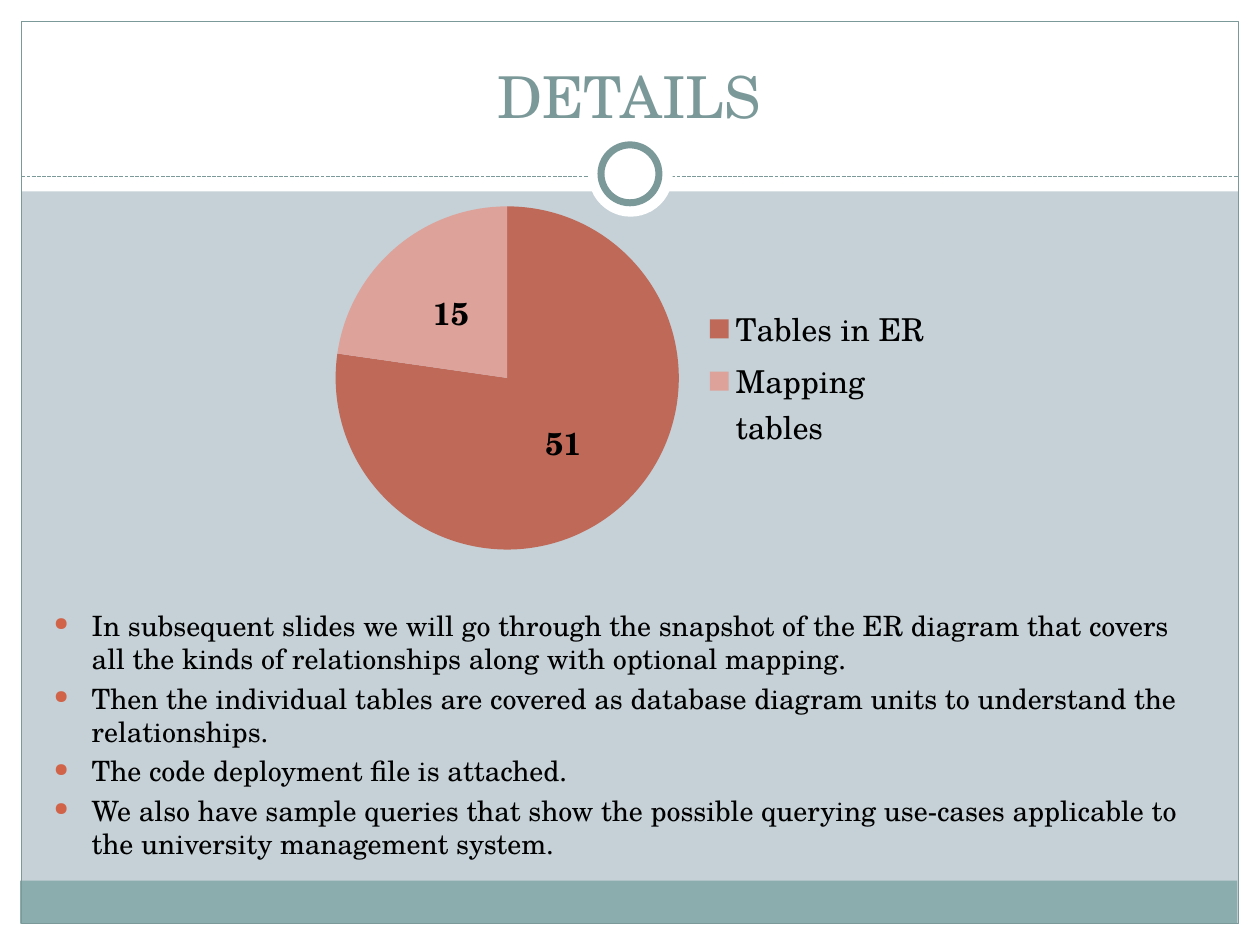
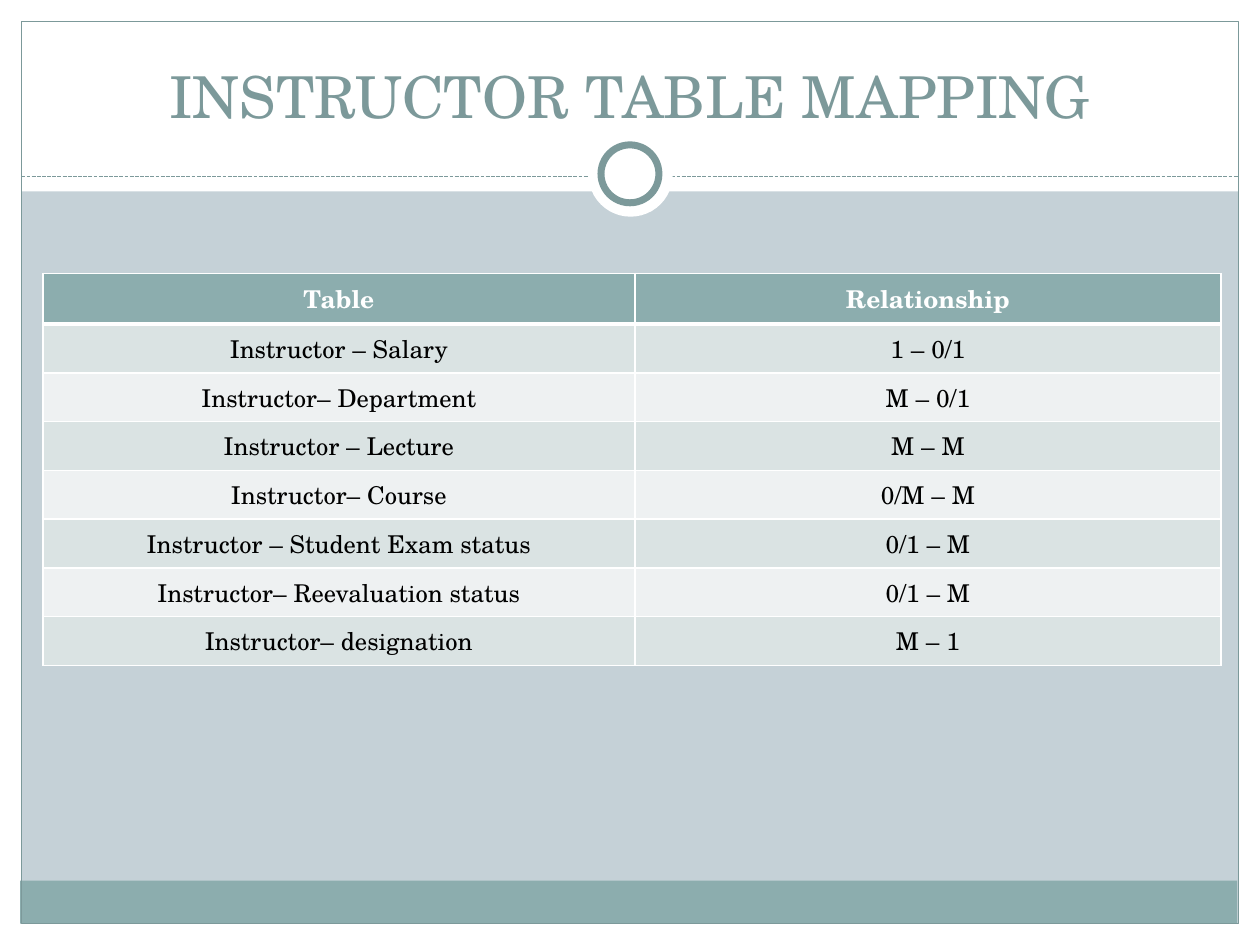
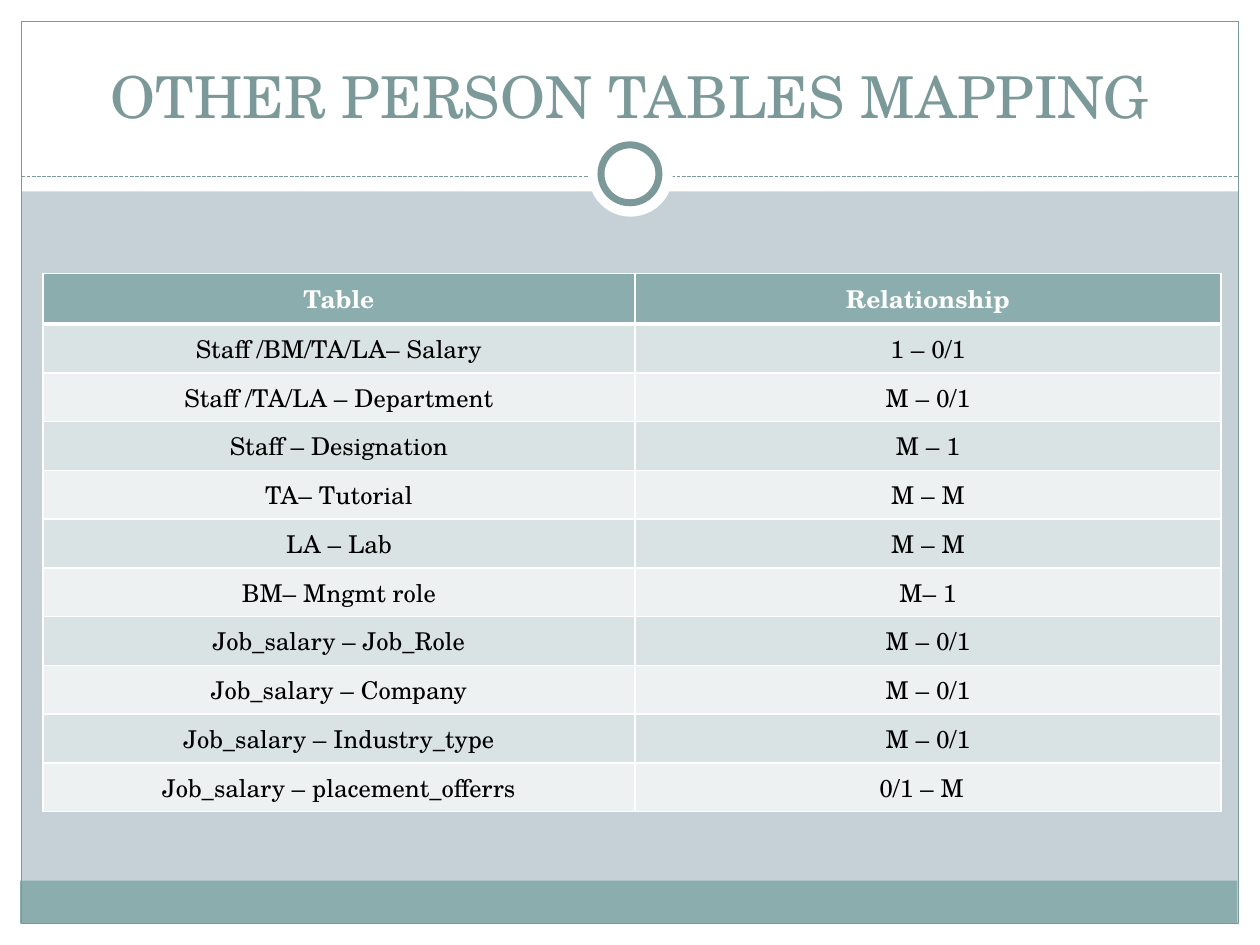
from lxml import etree
from pptx import Presentation
from pptx.chart.data import CategoryChartData
from pptx.dml.color import RGBColor
from pptx.enum.chart import XL_CHART_TYPE, XL_LABEL_POSITION, XL_LEGEND_POSITION
from pptx.enum.dml import MSO_LINE
from pptx.enum.shapes import MSO_CONNECTOR, MSO_SHAPE
from pptx.enum.text import MSO_ANCHOR, PP_ALIGN
from pptx.oxml import parse_xml
from pptx.oxml.ns import nsdecls, qn
from pptx.util import Inches, Pt

FONT = "TeX Gyre Schola"
HUES = {
    "back": "C5D1D7", "white": "FFFFFF", "black": "000000",
    "teal": "8CADAE", "dark": "7C999A", "odd": "DAE3E3", "even": "EEF1F2",
    "dot": "D16349", "brick": "BF6959", "rose": "DDA29A",
}


def hue(name):
    return RGBColor.from_string(HUES[name])


def style(font, size, tone, bold=False):
    font.name = FONT
    font.size = Pt(size)
    font.bold = bold
    font.color.rgb = hue(tone)


deck = Presentation()
deck.slide_width, deck.slide_height = Inches(10), Inches(7.5)

# Slides with their titles
layout = deck.slide_layouts[5]
titles = ["DETAILS", "INSTRUCTOR TABLE MAPPING", "OTHER PERSON TABLES MAPPING"]
slides = []
for text in titles:
    slide = deck.slides.add_slide(layout)
    slides.append(slide)
    title = slide.shapes.title
    title.left, title.top = Inches(0.33), Inches(0.25)
    title.width, title.height = Inches(9.33), Inches(0.83)
    frame = title.text_frame
    frame.vertical_anchor = MSO_ANCHOR.BOTTOM
    par = frame.paragraphs[0]
    par.alignment = PP_ALIGN.CENTER
    run = par.add_run()
    run.text = text
    style(run.font, 33, "dark")
first = slides[0]

# Shared frame: drawn once, then moved to the layout
for holder in list(layout.placeholders)[1:]:
    layout.shapes.element.remove(holder.element)
layout.background.fill.solid()
layout.background.fill.fore_color.rgb = hue("back")

RECT, OVAL = MSO_SHAPE.RECTANGLE, MSO_SHAPE.OVAL
parts = [  # kind, left, top, width, height, fill, line width
    (RECT, 0, 7.33, 10, 0.17, "white", 0),
    (RECT, 0, 0, 10, 1.52, "white", 0),
    (RECT, 0, 0, 0.17, 7.5, "white", 0),
    (RECT, 9.83, 0, 0.17, 7.5, "white", 0),
    (RECT, 0.16, 6.99, 9.66, 0.34, "teal", 0),
    (RECT, 0.17, 0.17, 9.66, 7.16, None, 0.75),
    (None, 0.17, 1.4, 9.66, 0, None, 0.75),
    (OVAL, 4.67, 1.05, 0.67, 0.67, "white", 0),
    (OVAL, 4.77, 1.15, 0.46, 0.46, "white", 4),
]
for kind, left, top, width, height, fill, line in parts:
    if kind is None:
        shape = first.shapes.add_connector(
            MSO_CONNECTOR.STRAIGHT, Inches(left), Inches(top),
            Inches(left + width), Inches(top + height))
        shape.line.dash_style = MSO_LINE.SQUARE_DOT
        etree.SubElement(shape.element.spPr, qn("a:effectLst"))
    else:
        shape = first.shapes.add_shape(
            kind, Inches(left), Inches(top), Inches(width), Inches(height))
        shape.shadow.inherit = False
        if fill:
            shape.fill.solid()
            shape.fill.fore_color.rgb = hue(fill)
        else:
            shape.fill.background()
    if line:
        shape.line.color.rgb = hue("dark")
        shape.line.width = Pt(line)
    else:
        shape.line.fill.background()
    layout.shapes.element.append(shape.element)

# Slide 1: bullets
notes = [
    "In subsequent slides we will go through the snapshot of the ER diagram "
    "that covers all the kinds of relationships along with optional mapping.",
    "Then the individual tables are covered as database diagram units to "
    "understand the relationships.",
    "The code deployment file is attached.",
    "We also have sample queries that show the possible querying use-cases "
    "applicable to the university management system.",
]
box = first.shapes.add_textbox(Inches(0.33), Inches(4.78), Inches(9.3), Inches(2.1))
frame = box.text_frame
frame.word_wrap = True
for i, note in enumerate(notes):
    par = frame.add_paragraph() if i else frame.paragraphs[0]
    par.space_before = Pt(3.2)
    props = par._p.get_or_add_pPr()
    props.set("marL", str(Inches(0.3)))
    props.set("indent", str(-Inches(0.3)))
    tone = etree.SubElement(props, qn("a:buClr"))
    etree.SubElement(tone, qn("a:srgbClr"), val=HUES["dot"])
    etree.SubElement(props, qn("a:buSzPct"), val="67000")
    etree.SubElement(props, qn("a:buChar"), char="●")
    run = par.add_run()
    run.text = note
    style(run.font, 16, "black")

# Slide 1: pie
data = CategoryChartData()
data.categories = ["Tables in ER", "Mapping tables"]
data.add_series("Series 1", [51, 15])
chart = first.shapes.add_chart(
    XL_CHART_TYPE.PIE, Inches(2.5), Inches(1.5), Inches(5), Inches(3), data).chart
style(chart.font, 18, "black")
chart.has_title = False
chart.has_legend = True
chart.legend.position = XL_LEGEND_POSITION.RIGHT
chart.legend.include_in_layout = False
pie = chart.plots[0]
pie.vary_by_categories = True
for i, tone in enumerate(["brick", "rose"]):
    slice_fill = pie.series[0].points[i].format.fill
    slice_fill.solid()
    slice_fill.fore_color.rgb = hue(tone)
pie.has_data_labels = True
labels = pie.data_labels
labels.show_value = True
labels.show_percentage = False
labels.position = XL_LABEL_POSITION.CENTER
style(labels.font, 18, "black", True)

# Slides 2 and 3: tables
head = ("Table", "Relationship")
teacher = [
    head,
    ("Instructor – Salary", "1 – 0/1"),
    ("Instructor– Department", "M – 0/1"),
    ("Instructor – Lecture", "M – M"),
    ("Instructor– Course", "0/M – M"),
    ("Instructor – Student Exam status", "0/1 – M"),
    ("Instructor– Reevaluation status", "0/1 – M"),
    ("Instructor– designation", "M – 1"),
]
others = [
    head,
    ("Staff /BM/TA/LA– Salary", "1 – 0/1"),
    ("Staff /TA/LA – Department", "M – 0/1"),
    ("Staff – Designation", "M – 1"),
    ("TA– Tutorial", "M – M"),
    ("LA – Lab", "M – M"),
    ("BM– Mngmt role", "M– 1"),
    ("Job_salary – Job_Role", "M – 0/1"),
    ("Job_salary – Company", "M – 0/1"),
    ("Job_salary – Industry_type", "M – 0/1"),
    ("Job_salary – placement_offerrs", "0/1 – M"),
]
for slide, rows in zip(slides[1:], [teacher, others]):
    table = slide.shapes.add_table(
        len(rows), 2, Inches(0.34), Inches(2.17), Inches(9.35),
        Inches(0.33 * len(rows))).table
    table.horz_banding = False
    table.columns[0].width = Inches(4.7)
    table.columns[1].width = Inches(4.65)
    for r, row in enumerate(rows):
        for c, text in enumerate(row):
            cell = table.cell(r, c)
            # The rule below the header is thicker
            widths = {"L": 1, "R": 1, "T": 3 if r == 1 else 1, "B": 1 if r else 3}
            for side, width in widths.items():
                cell._tc.get_or_add_tcPr().append(parse_xml(
                    f'<a:ln{side} {nsdecls("a")} w="{Pt(width)}"><a:solidFill>'
                    f'<a:srgbClr val="{HUES["white"]}"/></a:solidFill></a:ln{side}>'))
            cell.fill.solid()
            cell.fill.fore_color.rgb = hue(
                "teal" if r == 0 else "odd" if r % 2 else "even")
            par = cell.text_frame.paragraphs[0]
            par.alignment = PP_ALIGN.CENTER
            run = par.add_run()
            run.text = text
            style(run.font, 14, "black" if r else "white", r == 0)

# The last value on slide 3 sits a little left of centre
cell.margin_right = Inches(0.2)

deck.save("out.pptx")
